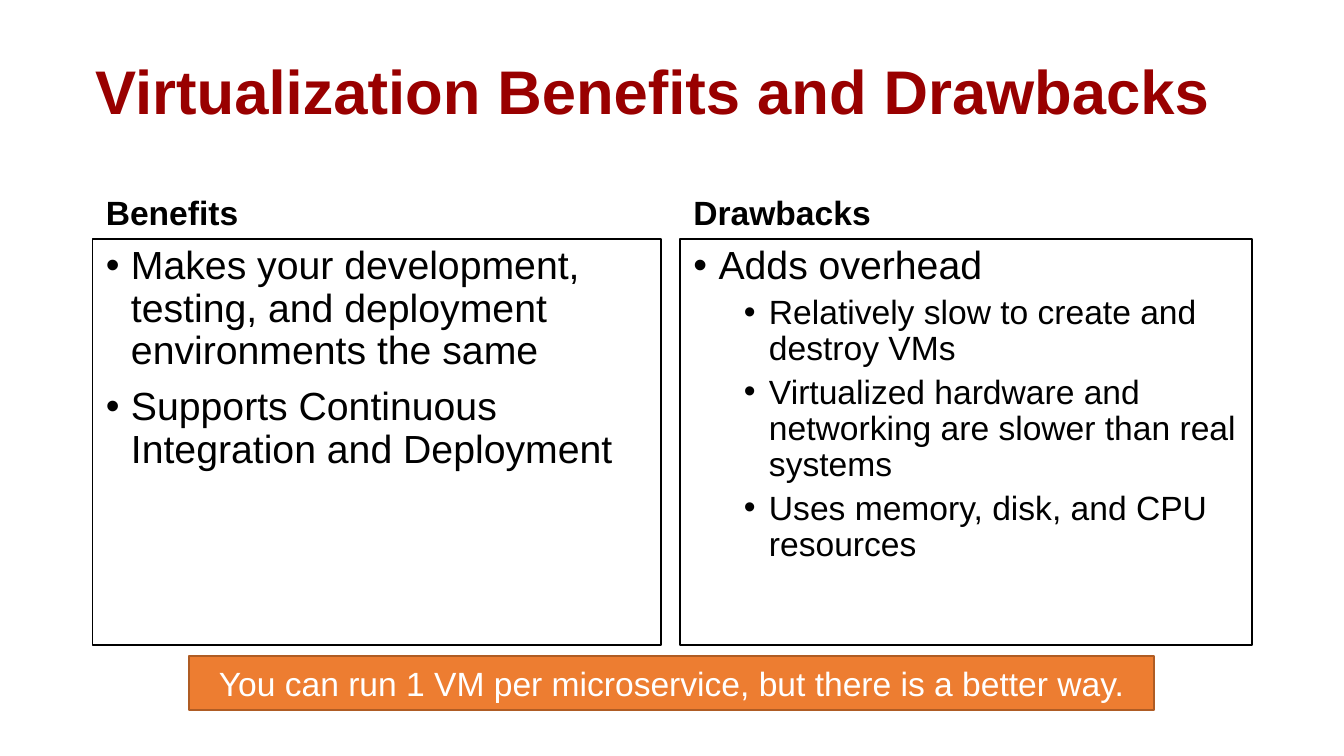
from pptx import Presentation
from pptx.dml.color import RGBColor
from pptx.enum.shapes import MSO_SHAPE
from pptx.enum.text import MSO_ANCHOR, PP_ALIGN
from pptx.oxml.ns import qn
from pptx.util import Pt
from lxml import etree

COLORS = {"title": "990000", "text": "000000", "panel": "FFFFFF",
          "banner": "ED7D31", "banner_line": "AF5C24", "banner_text": "FFFFFF"}

prs = Presentation()
prs.slide_width, prs.slide_height = Pt(720), Pt(405)
s = prs.slides.add_slide(prs.slide_layouts[6])


def add_box(left, top, width, height, anchor, fill=None, line=None):
    """Add a rectangle, with fill and outline only where given."""
    box = tuple(Pt(v) for v in (left, top, width, height))
    if fill:
        sp = s.shapes.add_shape(MSO_SHAPE.RECTANGLE, *box)
        sp.shadow.inherit = False
        sp.fill.solid()
        sp.fill.fore_color.rgb = RGBColor.from_string(COLORS[fill])
        sp.line.color.rgb = RGBColor.from_string(COLORS[line])
        sp.line.width = Pt(1)
    else:
        sp = s.shapes.add_textbox(*box)
    tf = sp.text_frame
    tf.word_wrap = True
    tf.vertical_anchor = anchor
    return tf


def format_text(p, text, size, color="text", bold=False, align=PP_ALIGN.LEFT):
    p.text = text
    p.alignment = align
    r = p.runs[0]
    r.font.name = "Arial"
    r.font.size = Pt(size)
    r.font.bold = bold
    r.font.color.rgb = RGBColor.from_string(COLORS[color])


# Title
tf = add_box(43.9, 11.5, 620.6, 78.5, MSO_ANCHOR.MIDDLE)
p = tf.paragraphs[0]
format_text(p, "Virtualization Benefits and Drawbacks", 33, "title", bold=True)
p.line_spacing = 0.9

# Two columns: left, width, heading, (level, text) bullets
columns = [
    (49.6, 304.6, "Benefits", [
        (0, "Makes your development, testing, and deployment environments the same"),
        (0, "Supports Continuous Integration and Deployment"),
    ]),
    (364.4, 306.2, "Drawbacks", [
        (0, "Adds overhead"),
        (1, "Relatively slow to create and destroy VMs"),
        (1, "Virtualized hardware and networking are slower than real systems"),
        (1, "Uses memory, disk, and CPU resources"),
    ]),
]
levels = [(21, 13.5, 7.5), (18, 40.5, 3.8)]  # size, indent, space before

for left, width, heading, bullets in columns:
    tf = add_box(left, 79.2, width, 49, MSO_ANCHOR.BOTTOM)
    p = tf.paragraphs[0]
    format_text(p, heading, 18, bold=True)
    p.line_spacing = 0.9

    tf = add_box(left, 128.2, width, 217.4, MSO_ANCHOR.TOP, "panel", "text")
    for i, (level, text) in enumerate(bullets):
        size, indent, space = levels[level]
        p = tf.add_paragraph() if i else tf.paragraphs[0]
        format_text(p, text, size)
        p.level = level
        p.line_spacing = 0.9
        if i:
            p.space_before = Pt(space)
        # Hanging bullet
        pPr = p._p.get_or_add_pPr()
        pPr.set("marL", str(Pt(indent)))
        pPr.set("indent", str(Pt(-13.5)))
        etree.SubElement(pPr, qn("a:buFont")).set("typeface", "Arial")
        etree.SubElement(pPr, qn("a:buChar")).set("char", "•")

# Conclusion banner
tf = add_box(101.3, 351.5, 517, 29.1, MSO_ANCHOR.TOP, "banner", "banner_line")
format_text(tf.paragraphs[0],
            "You can run 1 VM per microservice, but there is a better way.",
            18, "banner_text", align=PP_ALIGN.CENTER)

prs.save("out.pptx")
